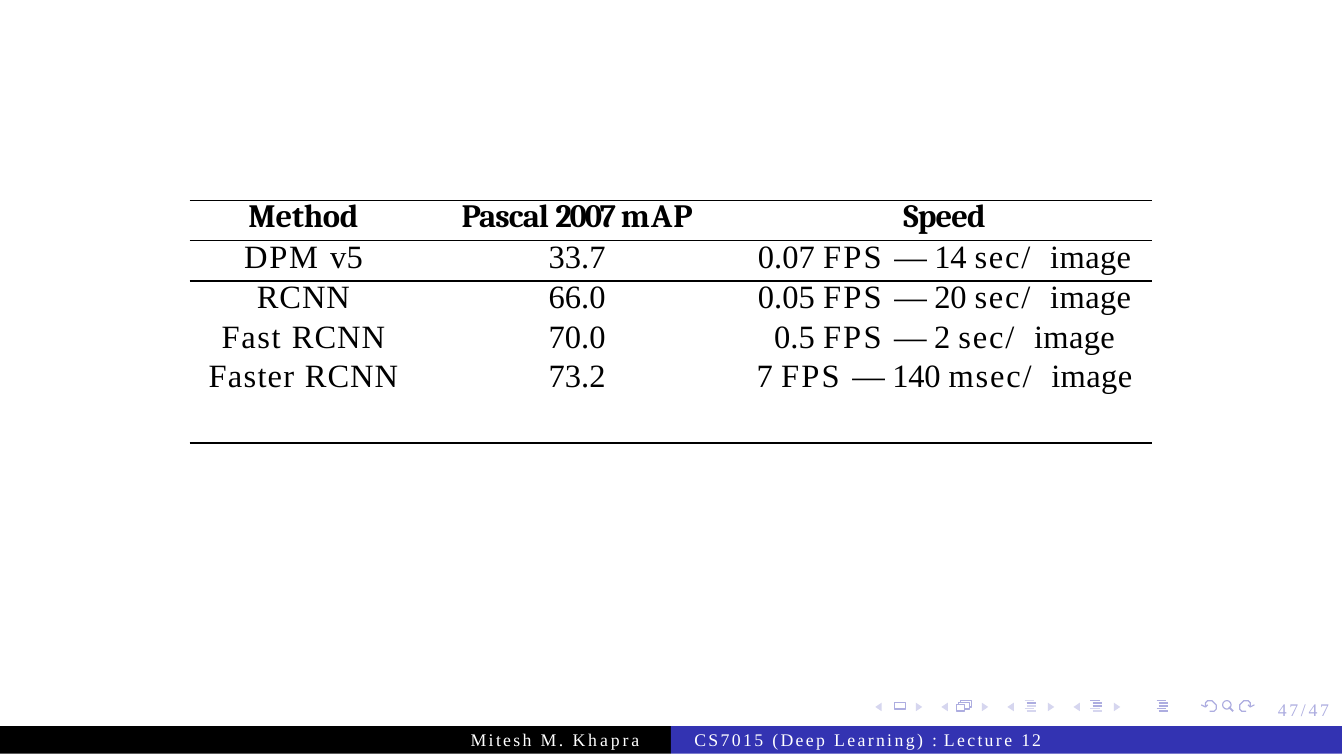
from lxml.etree import SubElement
from pptx import Presentation
from pptx.dml.color import RGBColor
from pptx.enum.shapes import MSO_CONNECTOR as CONNECTOR, MSO_SHAPE as SHAPE
from pptx.enum.text import MSO_ANCHOR as ANCHOR, PP_ALIGN as ALIGN
from pptx.oxml import parse_xml
from pptx.oxml.ns import nsdecls, qn
from pptx.util import Inches, Pt

COLORS = {"ink": "000000", "bar": "3333B2", "white": "FFFFFF",
          "nav": "ADADE0", "nav_light": "D6D6EF"}
SERIF, HEAD_FONT = "Times New Roman", "Cambria"

# Text runs are (text, letter spacing in points).
HEADER = [[("Method", -0.1)],
          [("Pascal ", -0.3), ("2007 ", -0.8), ("mAP", 0.4)],
          [("Speed", -0.3)]]


def speed(rate, time, unit):
    return [(rate + " ", 0), ("FPS ", 0.7), (f"— {time} ", -0.1),
            (unit + "/", 0.6), (" ", 3.3), ("image", 0.1)]


RESULTS = [
    [[("DPM ", 0.6), ("v5", 0.1)], [("33.7", 0)], speed("0.07", "14", "sec")],
    [[("RCNN", 0.3)], [("66.0", 0)], speed("0.05", "20", "sec")],
    [[("Fast ", 0.5), ("RCNN", 0.3)], [("70.0", 0)], speed("0.5", "2", "sec")],
    [[("Faster ", 0.4), ("RCNN", 0.3)], [("73.2", 0)], speed("7", "140", "msec")],
]
COLUMN_WIDTHS = [1.07, 1.5, 1.95]
ROW_HEIGHTS = [0.19, 0.19, 0.19, 0.19, 0.17]
ROW_LEADING = [11.9, 11.9, 11.7, 11.7, 11.2]
TABLE_LEFT, TABLE_TOP, TABLE_END = 0.89, 0.94, 2.08
RULE_ROWS = [0, 1, 2]  # rows with a rule above

FOOTER_BARS = [(0, "ink"), (3.15, "bar")]
FOOTER_TEXTS = [
    (6.0, 3.29, 0.3, "nav", [("47/47", 0.9)]),
    (2.21, 3.43, 0.9, "white", [("Mitesh M. ", 0.8), ("Khapra", 1)]),
    (3.26, 3.43, 1.8, "white", [("CS7015 (Deep Learning) ", 0.8), (": ", 0.4),
                                ("Lecture ", 0.8), ("12", 0.7)]),
]

NAV_TOP, NAV_LEFT, NAV_STEP = 3.29, 4.11, 0.31
OUTLINE_LEFTS = [4.81, 5.12, 5.43]
DARK_BARS = [{1}, {0, 1, 2}, {0, 1, 2, 3, 4}]
STACKED_EDGES = [
    [(4.5, 3.31), (4.5, 3.3), (4.55, 3.3), (4.55, 3.33), (4.53, 3.33)],
    [(4.51, 3.3), (4.51, 3.29), (4.56, 3.29), (4.56, 3.32), (4.55, 3.32)],
]
BACK_ARROW = [
    [(5.68, 3.34), (5.69, 3.34), (5.7, 3.34), (5.71, 3.33), (5.71, 3.32),
     (5.71, 3.31), (5.7, 3.3), (5.69, 3.29), (5.68, 3.29), (5.67, 3.29),
     (5.66, 3.3), (5.66, 3.31), (5.66, 3.32)],
    [(5.67, 3.31), (5.66, 3.32), (5.64, 3.31)],
]
MIRROR = 11.53  # sum of the x positions of the back and forward arrows

prs = Presentation()
prs.slide_width, prs.slide_height = Inches(6.31), Inches(3.55)
slide = prs.slides.add_slide(prs.slide_layouts[6])
shapes = slide.shapes


def rgb(name):
    return RGBColor.from_string(COLORS[name])


def write(frame, runs, *, font=SERIF, size=11, color="ink", bold=False,
          align=ALIGN.LEFT, leading=None):
    paragraph = frame.paragraphs[0]
    paragraph.alignment = align
    paragraph.line_spacing = Pt(leading)
    for text, spacing in runs:
        run = paragraph.add_run()
        run.text = text
        run.font.name, run.font.size, run.font.bold = font, Pt(size), bold
        run.font.color.rgb = rgb(color)
        run._r.get_or_add_rPr().set("spc", str(round(spacing * 100)))


def paint(shape, fill=None, line=None, width=0.4):
    shape.shadow.inherit = False
    if fill:
        shape.fill.solid()
        shape.fill.fore_color.rgb = rgb(fill)
    else:
        shape.fill.background()
    if line:
        shape.line.color.rgb = rgb(line)
        shape.line.width = Pt(width)
    else:
        shape.line.fill.background()


def preset(kind, left, top, width, height, **style):
    paint(shapes.add_shape(kind, Inches(left), Inches(top), Inches(width),
                           Inches(height)), **style)


def outline(points, close=False, **style):
    start, *rest = [(Inches(x), Inches(y)) for x, y in points]
    builder = shapes.build_freeform(*start)
    builder.add_line_segments(rest, close=close)
    paint(builder.convert_to_shape(), **style)


def rule(x1, y1, x2, y2, color, width):
    connector = shapes.add_connector(CONNECTOR.STRAIGHT, Inches(x1), Inches(y1),
                                     Inches(x2), Inches(y2))
    connector.line.color.rgb = rgb(color)
    connector.line.width = Pt(width)
    SubElement(connector._element.spPr, qn("a:effectLst"))


def set_borders(cell, ruled_sides):
    """Rule the given sides of a table cell and clear the others."""
    for index, side in enumerate("LRTB"):
        paint_xml = "<a:noFill/>"
        if side in ruled_sides:
            paint_xml = (f'<a:solidFill><a:srgbClr val="{COLORS["ink"]}"/>'
                         "</a:solidFill>")
        cell._tc.get_or_add_tcPr().insert(index, parse_xml(
            f'<a:ln{side} {nsdecls("a")} w="{Pt(0.5)}">{paint_xml}</a:ln{side}>'))


def draw_navigation():
    for group in range(4):
        left = NAV_LEFT + group * NAV_STEP
        for base, tip in [(left + 0.03, left), (left + 0.19, left + 0.22)]:
            outline([(base, 3.3), (tip, 3.32), (base, 3.34)], close=True,
                    fill="nav_light")
    preset(SHAPE.RECTANGLE, 4.2, 3.3, 0.05, 0.03, line="nav")
    preset(SHAPE.RECTANGLE, 4.49, 3.31, 0.04, 0.03, line="nav")
    for edge in STACKED_EDGES:
        outline(edge, line="nav")
    for left, dark in zip(OUTLINE_LEFTS, DARK_BARS):
        for bar, indent in enumerate([0, 0.01, 0.01, 0, 0.01]):
            y = NAV_TOP + bar * 0.0125
            rule(left + indent, y, left + indent + 0.045, y,
                 "nav" if bar in dark else "nav_light", 0.6)
    preset(SHAPE.OVAL, 5.74, NAV_TOP, 0.04, 0.04, line="nav")
    rule(5.77, 3.32, 5.79, 3.34, "nav", 0.6)
    for stroke in BACK_ARROW:
        outline(stroke, line="nav")
        outline([(MIRROR - x, y) for x, y in stroke], line="nav")


def draw_results():
    rows = [HEADER] + RESULTS
    table = shapes.add_table(
        len(rows), len(HEADER), Inches(TABLE_LEFT), Inches(TABLE_TOP),
        Inches(sum(COLUMN_WIDTHS)), Inches(sum(ROW_HEIGHTS))).table
    table.first_row = table.horz_banding = False
    for column, width in zip(table.columns, COLUMN_WIDTHS):
        column.width = Inches(width)
    for r, row in enumerate(rows):
        table.rows[r].height = Inches(ROW_HEIGHTS[r])
        sides = ("T" if r in RULE_ROWS else "") + ("B" if r + 1 in RULE_ROWS else "")
        for c, runs in enumerate(row):
            cell = table.cell(r, c)
            cell.margin_left = cell.margin_right = 0
            cell.margin_top = cell.margin_bottom = 0
            cell.vertical_anchor = ANCHOR.TOP
            cell.fill.background()
            set_borders(cell, sides)
            write(cell.text_frame, runs, font=SERIF if r else HEAD_FONT,
                  bold=r == 0, align=ALIGN.CENTER, leading=ROW_LEADING[r])
    rule(TABLE_LEFT, TABLE_END, TABLE_LEFT + sum(COLUMN_WIDTHS), TABLE_END,
         "ink", 0.4)


def draw_footer():
    for left, color in FOOTER_BARS:
        preset(SHAPE.RECTANGLE, left, 3.41, 3.15, 0.13, fill=color)
    for left, top, width, color, runs in FOOTER_TEXTS:
        frame = shapes.add_textbox(Inches(left), Inches(top), Inches(width),
                                   Inches(0.11)).text_frame
        frame.margin_left = frame.margin_right = 0
        frame.margin_top = frame.margin_bottom = 0
        frame.word_wrap = True
        write(frame, runs, size=6, color=color, leading=6.7)


draw_navigation()
draw_results()
draw_footer()
prs.save("out.pptx")
